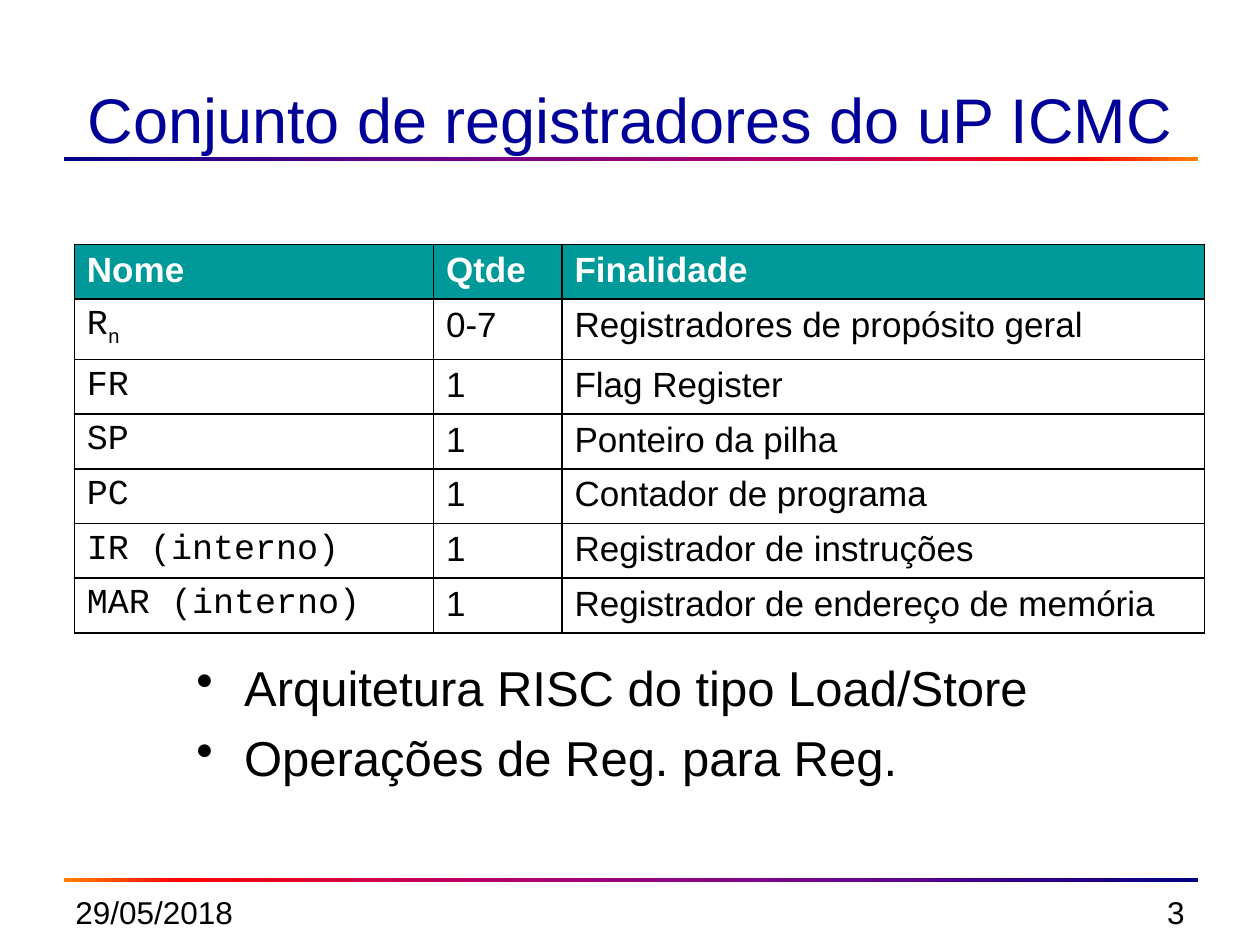
import pptx
import pptx.util
import pptx.dml.color
import pptx.enum.shapes
import pptx.enum.text
from lxml import etree
from pptx.oxml.ns import qn
from pptx.util import Inches, Pt

ALIGN = pptx.enum.text.PP_ALIGN
ANCHOR = pptx.enum.text.MSO_ANCHOR

RAINBOW = [(0, "000082"), (30, "66008F"), (65, "BA0066"), (90, "FF0000"), (100, "FF8200")]
REGISTERS = [
    ("Nome", "Qtde", "Finalidade"),
    ("Rn", "0-7", "Registradores de propósito geral"),
    ("FR", "1", "Flag Register"),
    ("SP", "1", "Ponteiro da pilha"),
    ("PC", "1", "Contador de programa"),
    ("IR (interno)", "1", "Registrador de instruções"),
    ("MAR (interno)", "1", "Registrador de endereço de memória"),
]
COLUMN_WIDTHS = [2.85, 1.02, 5.1]
ROW_HEIGHTS = [0.38, 0.34] + [0.38] * 5
POINTS = ["Arquitetura RISC do tipo Load/Store", "Operações de Reg. para Reg."]


def color(value):
    return pptx.dml.color.RGBColor.from_string(value)


def set_font(font, size, value="000000", name="Arial", bold=False):
    font.size = Pt(size)
    font.name = name
    font.bold = bold
    font.color.rgb = color(value)


def hang(paragraph):
    properties = paragraph._p.get_or_add_pPr()
    properties.set("marL", str(Inches(0.38)))
    properties.set("indent", str(-Inches(0.38)))
    return properties


def add_rule(slide, top, stops):
    rule = slide.shapes.add_shape(
        pptx.enum.shapes.MSO_SHAPE.RECTANGLE,
        Inches(0.51), Inches(top), Inches(9), Inches(0.03))
    rule.shadow.inherit = False
    rule.line.fill.background()
    rule.fill.gradient()
    rule.fill.gradient_angle = 0
    stop_list = rule._element.spPr.find(qn("a:gradFill")).find(qn("a:gsLst"))
    for default_stop in list(stop_list):
        stop_list.remove(default_stop)
    for position, value in stops:
        stop = etree.SubElement(stop_list, qn("a:gs"), pos=str(position * 1000))
        etree.SubElement(stop, qn("a:srgbClr"), val=value)


def add_text(slide, box, lines, size, value="000000", align=ALIGN.LEFT,
             anchor=ANCHOR.TOP, bulleted=False):
    frame = slide.shapes.add_textbox(*map(Inches, box)).text_frame
    frame.word_wrap = True
    frame.vertical_anchor = anchor
    frame.text = "\n".join(lines)
    for paragraph in frame.paragraphs:
        paragraph.alignment = align
        set_font(paragraph.font, size, value)
        if bulleted:
            paragraph.space_before = Pt(6.4)
            properties = hang(paragraph)
            bullet = etree.Element(qn("a:buChar"), char="•")
            properties.find(qn("a:defRPr")).addprevious(bullet)


def add_borders(cell):
    properties = cell._tc.get_or_add_tcPr()
    for index, side in enumerate(("lnL", "lnR", "lnT", "lnB")):
        border = etree.Element(qn("a:" + side), w=str(Pt(1)))
        fill = etree.SubElement(border, qn("a:solidFill"))
        etree.SubElement(fill, qn("a:srgbClr"), val="000000")
        properties.insert(index, border)


def fill_cell(cell, text, is_header, is_name):
    if is_header:
        cell.fill.solid()
        cell.fill.fore_color.rgb = color("009999")
    else:
        cell.fill.background()
    add_borders(cell)
    paragraph = cell.text_frame.paragraphs[0]
    hang(paragraph)
    set_font(paragraph.font, 20, "FFFFFF" if is_header else "000000",
             "Courier New" if is_name and not is_header else "Arial", is_header)
    if text == "Rn":
        paragraph.add_run().text = "R"
        subscript = paragraph.add_run()
        subscript.text = "n"
        subscript.font._element.set("baseline", "-25000")
    else:
        paragraph.add_run().text = text


def add_register_table(slide):
    registers = slide.shapes.add_table(
        len(REGISTERS), len(COLUMN_WIDTHS),
        Inches(0.59), Inches(1.94), Inches(8.98), Inches(3.03)).table
    registers.horz_banding = False
    for column, width in zip(registers.columns, COLUMN_WIDTHS):
        column.width = Inches(width)
    for row, height in zip(registers.rows, ROW_HEIGHTS):
        row.height = Inches(height)
    for r, entry in enumerate(REGISTERS):
        for c, text in enumerate(entry):
            fill_cell(registers.cell(r, c), text, r == 0, c == 0)


def main():
    deck = pptx.Presentation()
    deck.slide_width = Inches(10)
    deck.slide_height = Inches(7.5)
    slide = deck.slides.add_slide(deck.slide_layouts[6])
    add_rule(slide, 1.25, RAINBOW)
    add_rule(slide, 6.97, [(100 - position, value) for position, value in reversed(RAINBOW)])
    add_text(slide, (0.5, 7.04, 2.33, 0.52), ["29/05/2018"], 18)
    add_text(slide, (7.17, 7.04, 2.33, 0.52), ["3"], 18, align=ALIGN.RIGHT)
    add_text(slide, (0.51, 0.5, 8.98, 0.79), ["Conjunto de registradores do uP ICMC"],
             36, "000099", ALIGN.CENTER, ANCHOR.BOTTOM)
    add_register_table(slide)
    add_text(slide, (1.46, 5.17, 7, 1.63), POINTS, 28, bulleted=True)
    deck.save("out.pptx")


main()
